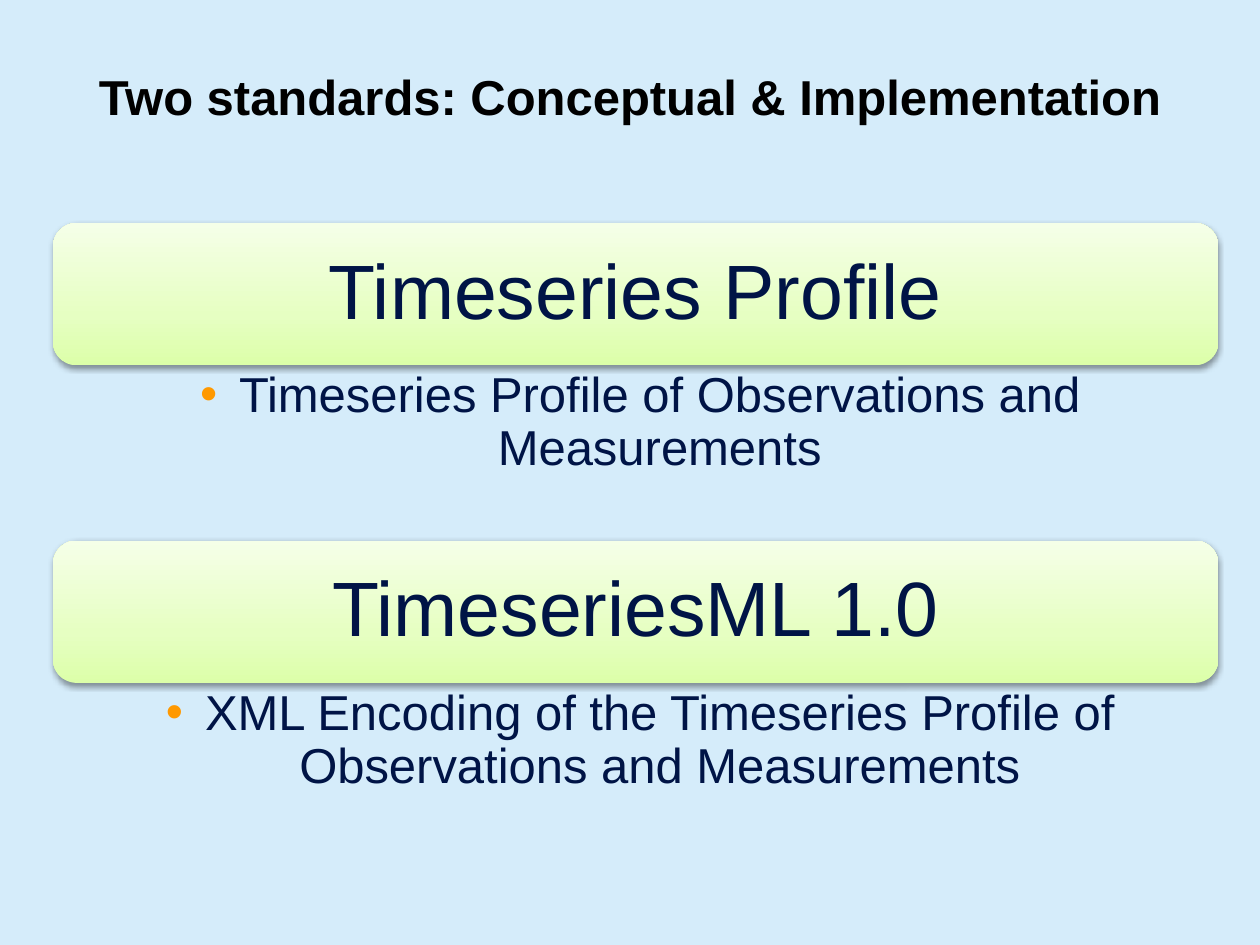
from lxml import etree
from pptx import Presentation
from pptx.dml.color import RGBColor
from pptx.enum.shapes import MSO_SHAPE
from pptx.enum.text import MSO_ANCHOR, MSO_AUTO_SIZE, PP_ALIGN
from pptx.oxml import parse_xml
from pptx.oxml.ns import nsdecls, qn
from pptx.util import Emu, Inches, Pt

ROUND = MSO_SHAPE.ROUNDED_RECTANGLE
MIDDLE, TOP = MSO_ANCHOR.MIDDLE, MSO_ANCHOR.TOP
CENTER, FIXED = PP_ALIGN.CENTER, MSO_AUTO_SIZE.NONE

TITLE = "Two standards: Conceptual & Implementation"
PARTS = [
    ("Timeseries Profile",
     "Timeseries Profile of Observations and Measurements"),
    ("TimeseriesML 1.0",
     "XML Encoding of the Timeseries Profile of Observations and Measurements"),
]
BACK, INK, DOT = "D5ECFA", "001446", "FF9900"
GREENS = [(0, "DCFFA9"), (35, "E6FFC2"), (100, "F5FFE8")]

WIDE, HIGH = 10, 7.5
LEFT, SPAN = 0.42, 9.25
START, STEP = 1.77, 2.52
BAR, NOTE = 1.13, 1.4
INDENT = 0.31


def color(code):
    return RGBColor.from_string(code)


def write(shape, text, size=28, ink=INK, bold=False, anchor=TOP,
          pad=(0, 0, 0, 0), line=0.9, bullet=None):
    """Fill a shape with one centred paragraph; pad is left, top, right, bottom."""
    frame = shape.text_frame
    frame.word_wrap, frame.auto_size = True, FIXED
    frame.vertical_anchor = anchor
    (frame.margin_left, frame.margin_top,
     frame.margin_right, frame.margin_bottom) = map(Inches, pad)
    para = frame.paragraphs[0]
    para.text = text
    para.alignment, para.line_spacing = CENTER, line
    if bullet:
        add_bullet(para, bullet)
    font = para.runs[0].font
    font.name, font.size, font.bold = "Arial", Pt(size), bold
    font.color.rgb = color(ink)


def add_bullet(para, code):
    props = para._p.get_or_add_pPr()
    props.set("marL", str(Inches(INDENT)))
    props.set("indent", str(-Inches(INDENT)))
    tint = etree.SubElement(props, qn("a:buClr"))
    etree.SubElement(tint, qn("a:srgbClr"), val=code)
    etree.SubElement(props, qn("a:buFont"), typeface="Arial")
    etree.SubElement(props, qn("a:buChar"), char="•")


def style_bar(bar):
    """Give the bar an upward gradient and a soft shadow below."""
    bar.line.fill.background()
    stops = "".join(
        f'<a:gs pos="{at * 1000}"><a:srgbClr val="{code}"/></a:gs>'
        for at, code in GREENS)
    props = bar._element.spPr
    props.find(qn("a:prstGeom")).addnext(parse_xml(
        f'<a:gradFill {nsdecls("a")} rotWithShape="1"><a:gsLst>{stops}</a:gsLst>'
        '<a:lin ang="16200000" scaled="0"/></a:gradFill>'))
    props.append(parse_xml(
        f'<a:effectLst {nsdecls("a")}><a:outerShdw blurRad="{Pt(3.1)}" '
        f'dist="{Pt(1.6)}" dir="5400000" rotWithShape="0">'
        '<a:srgbClr val="000000"><a:alpha val="38000"/></a:srgbClr>'
        '</a:outerShdw></a:effectLst>'))


def main():
    deck = Presentation()
    deck.slide_width, deck.slide_height = Inches(WIDE), Inches(HIGH)
    slide = deck.slides.add_slide(deck.slide_layouts[5])
    back = slide.background.fill
    back.solid()
    back.fore_color.rgb = color(BACK)

    title = slide.shapes.title
    title.left, title.top = Emu(0), Inches(0.5)
    title.width, title.height = Inches(WIDE), Inches(0.53)
    write(title, TITLE, ink="000000", bold=True, anchor=MIDDLE, line=1.0)

    for row, (name, note) in enumerate(PARTS):
        top = START + row * STEP
        bar = slide.shapes.add_shape(
            ROUND, *map(Inches, (LEFT, top, SPAN, BAR)))
        style_bar(bar)
        write(bar, name, size=44, anchor=MIDDLE, pad=(0.18,) * 4)
        box = slide.shapes.add_textbox(
            *map(Inches, (LEFT, top + BAR, SPAN, NOTE)))
        write(box, note, pad=(0.29, 0.04, 0.22, 0.04), bullet=DOT)

    deck.save("out.pptx")


if __name__ == "__main__":
    main()
